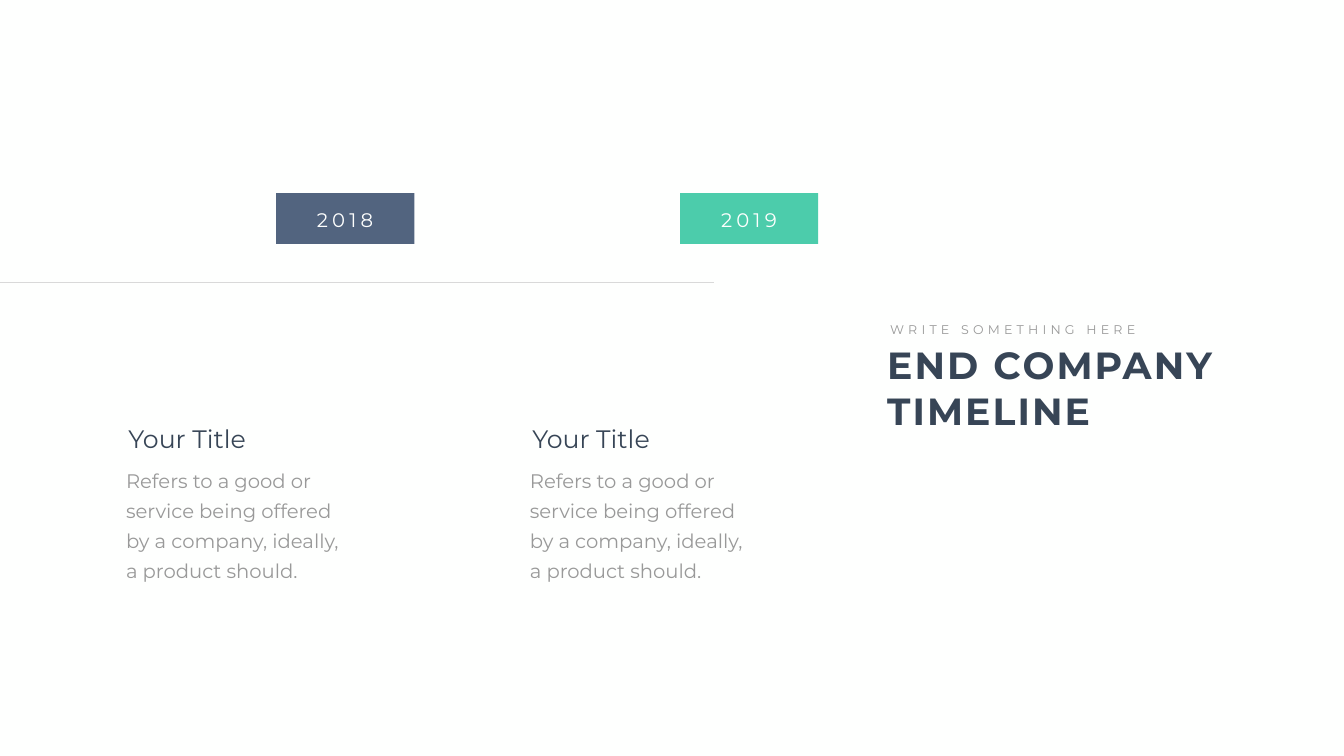
from pptx import Presentation
from pptx.dml.color import RGBColor
from pptx.enum import shapes, text
from pptx.util import Inches, Pt

FONT = "Montserrat"
COLORS = {
    "paper": "FEFFFE",
    "navy": "374556",
    "slate": "52647F",
    "green": "4CCCAB",
    "gray": "999999",
    "rule": "D9D9D9",
}
BODY = ("Refers to a good or service being offered by a company, "
        "ideally, a product should.")
MILESTONES = [("2018", "slate"), ("2019", "green")]
FIRST_LEFT = 2.26
STEP = 8.01


def color(name):
    return RGBColor.from_string(COLORS[name])


def add_text(parent, left, top, width, height, words, size, ink, bold=False,
             tracking=0, centered=False, wrap=True):
    """Add a one-paragraph text box and return it."""
    box = parent.add_textbox(Inches(left), Inches(top), Inches(width), Inches(height))
    frame = box.text_frame
    frame.word_wrap = wrap
    frame.auto_size = text.MSO_AUTO_SIZE.SHAPE_TO_FIT_TEXT
    para = frame.paragraphs[0]
    para.alignment = text.PP_ALIGN.CENTER if centered else text.PP_ALIGN.LEFT
    span = para.add_run()
    span.text = words
    span.font.name = FONT
    span.font.size = Pt(size)
    span.font.bold = bold
    span.font.color.rgb = color(ink)
    if tracking:
        span.font._element.set("spc", str(tracking * 100))
    return box


def add_axis(page):
    axis = page.shapes.add_connector(shapes.MSO_CONNECTOR.STRAIGHT, Inches(-0.03),
                                     Inches(5.6), Inches(14.17), Inches(5.6))
    axis.line.color.rgb = color("rule")
    axis.line.width = Pt(0.5)
    properties = axis._element.spPr
    properties.append(properties.makeelement(
        "{http://schemas.openxmlformats.org/drawingml/2006/main}effectLst", {}))


def add_milestone(page, left, year, fill):
    # Description and its title
    group = page.shapes.add_group_shape().shapes
    body = add_text(group, left, 9.05, 4.81, 2.6, BODY, 28, "gray")
    frame = body.text_frame
    frame.margin_left = frame.margin_right = Inches(0.24)
    frame.margin_top = frame.margin_bottom = Inches(0.12)
    frame.paragraphs[0].line_spacing = Pt(43)
    add_text(group, left + 0.19, 8.34, 4.81, 0.71, "Your Title", 36, "navy")

    # Year flag
    flag = page.shapes.add_shape(shapes.MSO_SHAPE.RECTANGLE, Inches(left + 3.22),
                                 Inches(3.83), Inches(2.74), Inches(1.01))
    flag.shadow.inherit = False
    flag.fill.solid()
    flag.fill.fore_color.rgb = color(fill)
    flag.line.fill.background()
    add_text(page.shapes, left + 3.54, 4.08, 2.09, 0.57, year, 28, "paper",
             tracking=6, centered=True)


def add_heading(page):
    group = page.shapes.add_group_shape().shapes
    add_text(group, 17.5, 6.74, 7.43, 1.92, "END COMPANY TIMELINE", 54, "navy",
             bold=True, tracking=3)
    add_text(group, 17.56, 6.33, 5.18, 0.4, "WRITE SOMETHING HERE", 18, "gray",
             tracking=6, wrap=False)


def main():
    deck = Presentation()
    deck.slide_width, deck.slide_height = Inches(26.66), Inches(15)
    page = deck.slides.add_slide(deck.slide_layouts[6])
    page.background.fill.solid()
    page.background.fill.fore_color.rgb = color("paper")

    add_axis(page)
    for index, (year, fill) in enumerate(MILESTONES):
        add_milestone(page, FIRST_LEFT + index * STEP, year, fill)
    add_heading(page)
    deck.save("out.pptx")


if __name__ == "__main__":
    main()
